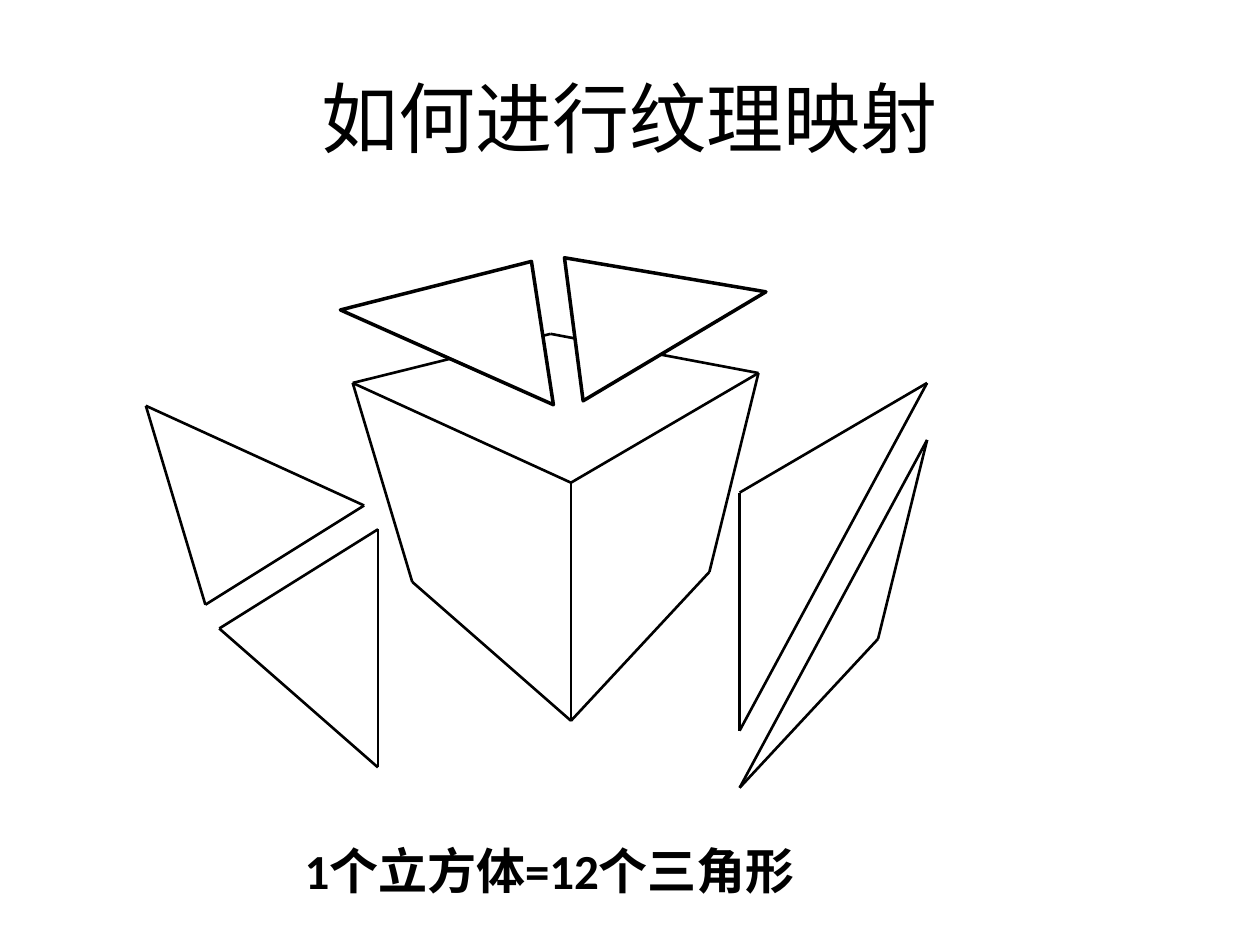
"""Build a slide that splits a cube into triangles for texture mapping."""
from itertools import combinations

from lxml import etree
from pptx import Presentation
from pptx import util as u
from pptx.dml.color import RGBColor
from pptx.enum import shapes, text
from pptx.oxml.ns import qn

BLACK = RGBColor(0x00, 0x00, 0x00)
WHITE = RGBColor(0xFF, 0xFF, 0xFF)
FONT = "Calibri"

CORNERS = {
    "left": (7.11, 7.72),
    "front": (11.51, 9.73),
    "back": (11.1, 6.73),
    "right": (15.29, 7.52),
    "left base": (8.31, 11.73),
    "front base": (11.51, 14.53),
    "right base": (14.3, 11.53),
}
CUBE_EDGES = [
    ("left", "front"), ("left", "back"), ("back", "right"),
    ("front", "right"), ("left", "left base"), ("front", "front base"),
    ("left base", "front base"), ("right", "right base"),
    ("front base", "right base"),
]
SIDE_TRIANGLES = [
    (("front", "right", "front base"), (3.4, 0.2)),
    (("right", "right base", "front base"), (3.4, 1.35)),
    (("left", "front", "left base"), (-4.17, 0.46)),
    (("front", "left base", "front base"), (-3.89, 0.94)),
]
TOP_TRIANGLES = [
    ((7.16, 4.85, 4.7, 2.46), 24, 0.664),
    ((10.77, 4.5, 4.29, 2.67), 329.2, 0.269),
]


def write(frame, words, size, bold=False, align=None, spacing=None):
    """Put one formatted paragraph into a text frame."""
    frame.word_wrap = True
    frame.vertical_anchor = text.MSO_ANCHOR.MIDDLE
    paragraph = frame.paragraphs[0]
    paragraph.alignment = align
    paragraph.line_spacing = spacing
    run = paragraph.add_run()
    run.text = words
    run.font.name = FONT
    run.font.size = u.Pt(size)
    run.font.bold = bold
    run.font.color.rgb = BLACK


def add_title(slide, words, box):
    """Place and fill the title placeholder."""
    title = slide.shapes.title
    title.left, title.top, title.width, title.height = map(u.Cm, box)
    write(title.text_frame, words, 44, align=text.PP_ALIGN.CENTER)


def add_caption(slide, words, box):
    """Add the bold line under the drawing."""
    caption = slide.shapes.add_textbox(*map(u.Cm, box))
    write(caption.text_frame, words, 28, bold=True, spacing=1.5)


def add_edge(slide, start, end, shift=(0, 0)):
    """Join two cube corners, both moved by the same shift."""
    ends = [u.Cm(value + move)
            for corner in (start, end)
            for value, move in zip(CORNERS[corner], shift)]
    edge = slide.shapes.add_connector(shapes.MSO_CONNECTOR.STRAIGHT, *ends)
    edge.line.color.rgb = BLACK
    edge.line.width = u.Pt(1.5)
    etree.SubElement(edge._element.spPr, qn("a:effectLst"))


def add_top_triangle(slide, box, rotation, apex):
    """Add a white turned triangle lifted off the top face."""
    triangle = slide.shapes.add_shape(
        shapes.MSO_SHAPE.ISOSCELES_TRIANGLE, *map(u.Cm, box))
    triangle.adjustments[0] = apex
    triangle.rotation = rotation
    triangle.shadow.inherit = False
    triangle.fill.solid()
    triangle.fill.fore_color.rgb = WHITE
    triangle.line.color.rgb = BLACK
    triangle.line.width = u.Pt(2)


def main():
    """Draw the slide and save it."""
    deck = Presentation()
    deck.slide_width, deck.slide_height = u.Cm(25.4), u.Cm(19.05)
    slide = deck.slides.add_slide(deck.slide_layouts[5])
    add_title(slide, "如何进行纹理映射", (1.27, 0.76, 22.86, 3.18))
    for start, end in CUBE_EDGES:
        add_edge(slide, start, end)
    for corners, shift in SIDE_TRIANGLES:
        for start, end in combinations(corners, 2):
            add_edge(slide, start, end, shift)
    add_caption(slide, "1个立方体=12个三角形", (5.89, 16.08, 11.81, 2.31))
    for box, rotation, apex in TOP_TRIANGLES:
        add_top_triangle(slide, box, rotation, apex)
    deck.save("out.pptx")


if __name__ == "__main__":
    main()
